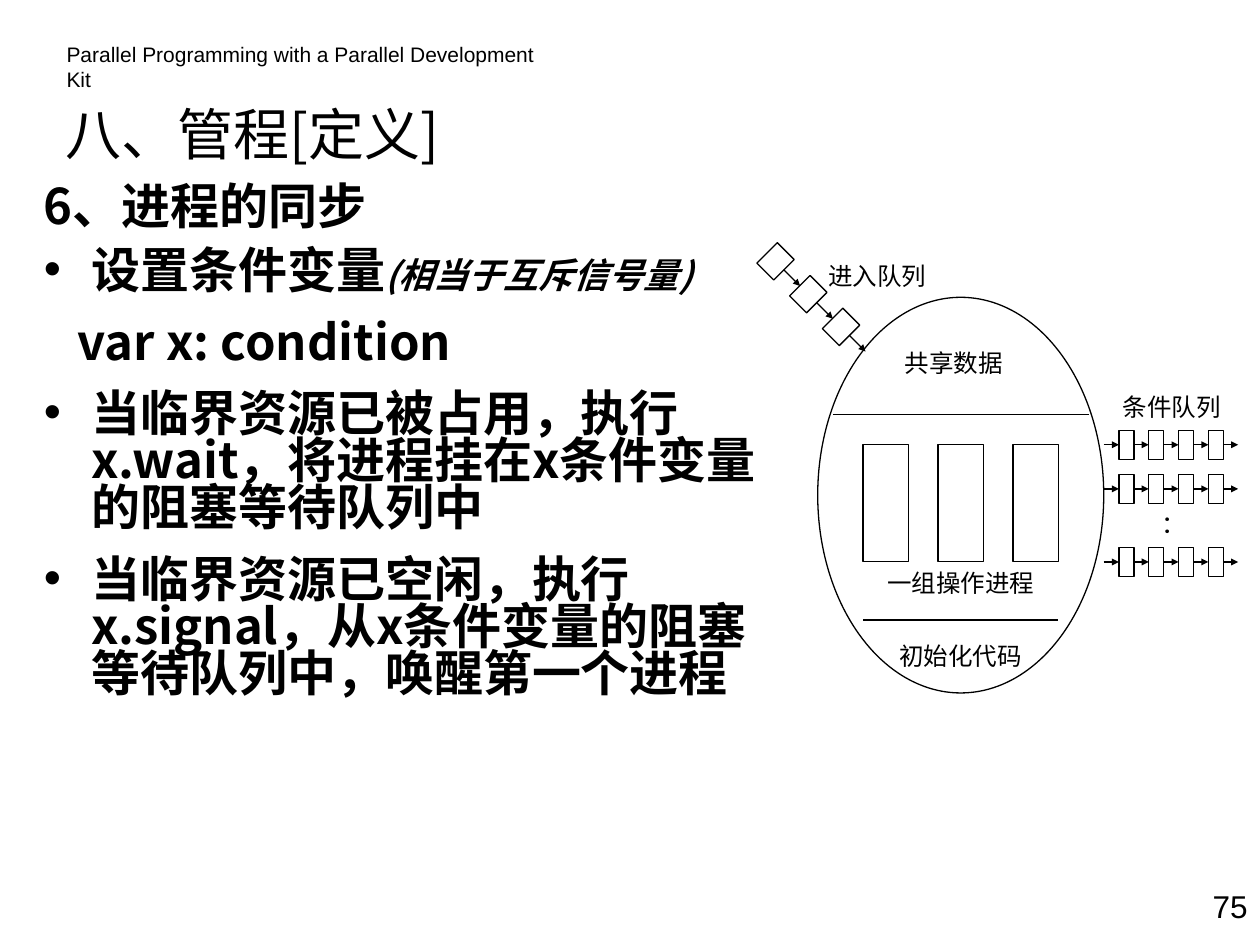
from dataclasses import dataclass
from lxml.etree import SubElement
from pptx import Presentation
from pptx.dml.color import RGBColor
from pptx.enum.shapes import MSO_CONNECTOR as Connector, MSO_SHAPE as Shape
from pptx.enum.text import MSO_ANCHOR as Anchor, PP_ALIGN as Align
from pptx.oxml.ns import qn
from pptx.util import Inches, Pt


@dataclass(frozen=True)
class Theme:
    ink: RGBColor = RGBColor(0, 0, 0)
    paper: RGBColor = RGBColor(255, 255, 255)
    sans: str = "Arial"
    cjk: str = "Noto Sans CJK SC"
    serif: str = "Times New Roman"
    header: int = 12
    title: int = 32
    body: int = 28
    note: int = 20
    number: int = 18
    label: int = 14
    line: float = 0.75


theme = Theme()


def format_run(run, size, face, bold=False, italic=False):
    run.font.size = Pt(size)
    run.font.bold = bold
    run.font.italic = italic
    run.font.color.rgb = theme.ink
    run.font.name = face
    SubElement(run._r.get_or_add_rPr(), qn("a:ea"), typeface=theme.cjk)


def add_line(x1, y1, x2, y2, arrow=True):
    line = slide.shapes.add_connector(
        Connector.STRAIGHT, Inches(x1), Inches(y1), Inches(x2), Inches(y2))
    line.line.color.rgb = theme.ink
    line.line.width = Pt(theme.line)
    if arrow:
        SubElement(line.line._get_or_add_ln(), qn("a:tailEnd"), type="triangle", w="sm", len="sm")
    SubElement(line._element.spPr, qn("a:effectLst"))


presentation = Presentation()
presentation.slide_width = Inches(10)
presentation.slide_height = Inches(7.5)
slide = presentation.slides.add_slide(presentation.slide_layouts[5])

title = slide.shapes.title
title.left, title.top = Inches(0.42), Inches(0.68)
title.width, title.height = Inches(5.67), Inches(0.75)
title.text_frame.text = "八、管程[定义]"
title.text_frame.vertical_anchor = Anchor.MIDDLE
title.text_frame.paragraphs[0].alignment = Align.LEFT
format_run(title.text_frame.paragraphs[0].runs[0], theme.title, theme.cjk)

body = slide.shapes.add_textbox(Inches(0.25), Inches(1.43), Inches(6), Inches(4.75))
body.text_frame.word_wrap = True
body_paragraphs = [
    (["6、进程的同步"], False, 0.38, -0.38, 0),
    (["设置条件变量", "(相当于互斥信号量)"], True, 0.38, -0.38, 10),
    (["var x: condition"], False, 0.27, 0, 14),
    (["当临界资源已被占用，执行x.wait，将进程挂在x条件变量的阻塞等待队列中"], True, 0.38, -0.38, 14),
    (["当临界资源已空闲，执行x.signal，从x条件变量的阻塞等待队列中，唤醒第一个进程"], True, 0.38, -0.38, 14),
]
for index, (texts, bullet, margin, indent, space) in enumerate(body_paragraphs):
    paragraph = body.text_frame.paragraphs[0] if index == 0 else body.text_frame.add_paragraph()
    paragraph.line_spacing = 0.8
    paragraph.space_before = Pt(space)
    properties = paragraph._p.get_or_add_pPr()
    properties.set("marL", str(Inches(margin)))
    properties.set("indent", str(Inches(indent)))
    if bullet:
        SubElement(properties, qn("a:buFont"), typeface=theme.sans)
        SubElement(properties, qn("a:buChar"), char="•")
    for position, text in enumerate(texts):
        run = paragraph.add_run()
        run.text = text
        size = theme.note if position else theme.body
        format_run(run, size, theme.cjk, bold=True, italic=position > 0)

box_width, box_height = 0.12, 0.23
entry_x, entry_y, entry_step = 6.06, 1.96, 0.26
process_x, process_step = 6.85, (8.04 - 6.85) / 2
queue_x, queue_step = 8.88, (9.59 - 8.88) / 3
queue_rows = [3.53, 3.88, 4.46]

outlines = [(Shape.RECTANGLE, entry_x + i * entry_step, entry_y + i * entry_step, 0.19, 0.23, 45)
            for i in range(3)]
outlines.append((Shape.OVAL, 6.49, 2.36, 2.27, 3.14, 0))
outlines += [(Shape.RECTANGLE, process_x + i * process_step, 3.53, 0.36, 0.93, 0) for i in range(3)]
outlines += [(Shape.RECTANGLE, queue_x + i * queue_step, y - box_height / 2, box_width, box_height, 0)
             for y in queue_rows for i in range(4)]
for kind, x, y, width, height, rotation in outlines:
    shape = slide.shapes.add_shape(kind, Inches(x), Inches(y), Inches(width), Inches(height))
    shape.rotation = rotation
    shape.shadow.inherit = False
    shape.fill.solid()
    shape.fill.fore_color.rgb = theme.paper
    shape.line.color.rgb = theme.ink
    shape.line.width = Pt(theme.line)

for i in range(3):
    x, y = 6.22 + i * entry_step, 2.14 + i * entry_step
    add_line(x, y, x + 0.13, y + 0.13)
for y in queue_rows:
    for i in range(5):
        end = queue_x + i * queue_step
        add_line(end - box_width, y, end, y)
add_line(6.61, 3.29, 8.64, 3.29, arrow=False)
add_line(6.85, 4.92, 8.4, 4.92, arrow=False)

labels = [
    ("Parallel Programming with a Parallel Development Kit", 0.43, 0.28, 4.1, 0.3, Align.LEFT, theme.header, theme.sans),
    ("75", 9.02, 6.99, 0.98, 0.4, Align.RIGHT, theme.number, theme.sans),
    ("进入队列", 6.25, 2.02, 1.2, 0.35, Align.RIGHT, theme.label, theme.serif),
    ("共享数据", 6.97, 2.71, 1.2, 0.35, Align.CENTER, theme.label, theme.serif),
    ("一组操作进程", 6.85, 4.46, 1.55, 0.35, Align.CENTER, theme.label, theme.serif),
    ("初始化代码", 6.85, 5.04, 1.55, 0.35, Align.CENTER, theme.label, theme.serif),
    ("：", 9.12, 3.99, 0.36, 0.35, Align.JUSTIFY, theme.label, theme.serif),
    ("条件队列", 8.76, 3.06, 1.08, 0.35, Align.CENTER, theme.label, theme.serif),
]
for text, x, y, width, height, alignment, size, face in labels:
    label = slide.shapes.add_textbox(Inches(x), Inches(y), Inches(width), Inches(height))
    label.text_frame.word_wrap = True
    label.text_frame.text = text
    paragraph = label.text_frame.paragraphs[0]
    paragraph.alignment = alignment
    format_run(paragraph.runs[0], size, face)

presentation.save("out.pptx")
